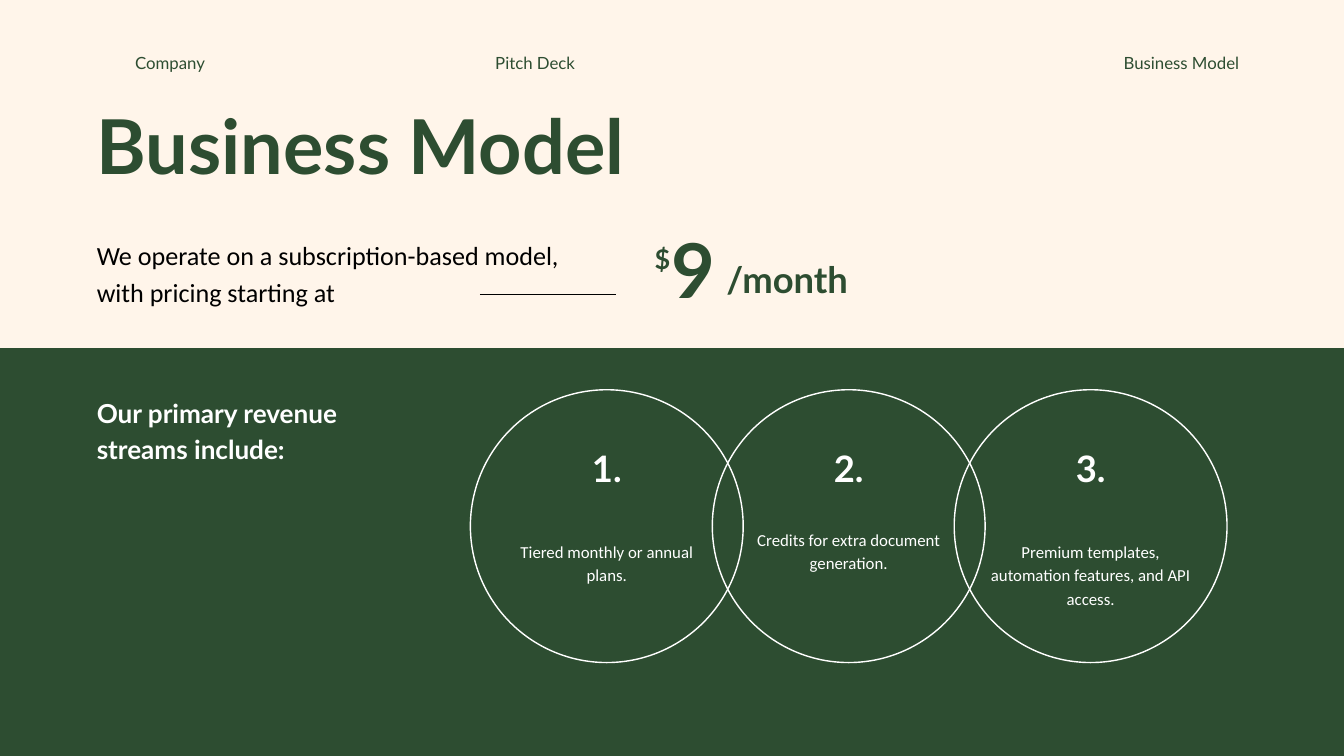
from dataclasses import dataclass
from pptx import Presentation, util as u
from pptx.dml.color import RGBColor
from pptx.enum import shapes, text
from pptx.oxml.ns import qn
from lxml import etree

COLS, ROWS = 20, 11.25
UNIT = u.Inches(1)  # one grid square
LEFT, CENTER, RIGHT = text.PP_ALIGN.LEFT, text.PP_ALIGN.CENTER, text.PP_ALIGN.RIGHT


@dataclass(frozen=True)
class Theme:
    cream: str = "FFF5EA"
    green: str = "2D4D31"
    white: str = "FFFFFF"
    black: str = "000000"
    head: str = "Lato"
    body: str = "Calibri"
    huge: int = 81
    big: int = 39
    sign: int = 29
    lead: int = 28
    small: int = 18


T = Theme()
PITCH = {T.big: 44.1, T.sign: 32.8, T.lead: 39.2, T.small: 25.2}


@dataclass(frozen=True)
class Box:
    """A region of the grid, in columns and rows."""
    x: float
    y: float
    w: float
    h: float

    def sub(self, x, y, w, h):
        return Box(self.x + x, self.y + y, w, h)

    def emu(self):
        return [round(v * UNIT) for v in (self.x, self.y, self.w, self.h)]


def rgb(code):
    return RGBColor.from_string(code)


def fill_in(shape, words, size, color, face=T.head, bold=False, align=LEFT, pitch=None):
    frame = shape.text_frame
    layout = dict(word_wrap=True, auto_size=text.MSO_AUTO_SIZE.NONE,
                  vertical_anchor=text.MSO_ANCHOR.TOP, margin_left=0,
                  margin_right=0, margin_top=0, margin_bottom=0)
    for name, value in layout.items():
        setattr(frame, name, value)
    para = frame.paragraphs[0]
    para.alignment = align
    para.line_spacing = u.Pt(pitch or PITCH[size])
    run = para.add_run()
    run.text = words
    for name, value in dict(size=u.Pt(size), name=face, bold=bold).items():
        setattr(run.font, name, value)
    run.font.color.rgb = rgb(color)


def label(slide, box, words, size, color, **style):
    fill_in(slide.shapes.add_textbox(*box.emu()), words, size, color, **style)


def shape(slide, kind, box, fill=None, line=None):
    item = slide.shapes.add_shape(kind, *box.emu())
    item.shadow.inherit = False
    if fill:
        item.fill.solid()
        item.fill.fore_color.rgb = rgb(fill)
    else:
        item.fill.background()
    if line:
        item.line.color.rgb = rgb(line)
        item.line.width = u.Pt(1.5)
    else:
        item.line.fill.background()


def rule(slide, box):
    x, y, w, _ = box.emu()
    line = slide.shapes.add_connector(shapes.MSO_CONNECTOR.STRAIGHT, x, y, x + w, y)
    line.line.color.rgb = rgb(T.black)
    line.line.width = u.Pt(0.75)
    etree.SubElement(line._element.spPr, qn("a:effectLst"))


def header(slide, box):
    for x, w, words, align in ((0, 3.86, "Company", LEFT),
                               (5.36, 3, "Pitch Deck", LEFT),
                               (12.29, 4.14, "Business Model", RIGHT)):
        label(slide, box.sub(x, 0, w, box.h), words, T.small, T.green, align=align)


def title(slide, box, words):
    holder = slide.shapes.title
    holder.left, holder.top, holder.width, holder.height = box.emu()
    fill_in(holder, words, T.huge, T.green, bold=True, pitch=78.6)


def price(slide, box):
    label(slide, box.sub(0, 0.09, 7.1, 1.11),
          "We operate on a subscription-based model, with pricing starting at",
          T.lead, T.black, face=T.body)
    rule(slide, box.sub(5.7, 0.98, 2.02, 0))
    for x, y, w, h, words, size, pitch in (
            (8.56, 0, 0.83, 1.55, "9", T.huge, 91.5),
            (9.37, 0.46, 2.65, 0.74, "/month", T.big, None),
            (8.3, 0.24, 0.53, 0.54, "$", T.sign, None)):
        label(slide, box.sub(x, y, w, h), words, size, T.green, bold=True, pitch=pitch)


def stream(slide, box, number, words, drop):
    """One ring, with its number and its text `drop` rows from the top."""
    shape(slide, shapes.MSO_SHAPE.OVAL, box, line=T.white)
    for w, y, h, part, size, face in ((2.08, 0.87, 0.74, f"{number}.", T.big, T.head),
                                      (3.13, drop, 1.05, words, T.small, T.body)):
        label(slide, box.sub((box.w - w) / 2, y, w, h), part, size, T.white,
              face=face, bold=face == T.head, align=CENTER)


def revenue(slide, box):
    shape(slide, shapes.MSO_SHAPE.RECTANGLE, box, fill=T.green)
    label(slide, box.sub(1.44, 0.65, 3.8, 1.7), "Our primary revenue streams include:",
          T.lead, T.white, bold=True)
    ring, step = 4.06, 3.6
    streams = (("Tiered monthly or annual plans.", 2.21),
               ("Credits for extra document generation.", 2.03),
               ("Premium templates, automation features, and API access.", 2.21))
    for i, (words, drop) in enumerate(streams):
        stream(slide, box.sub(7 + i * step, 0.62, ring, ring), i + 1, words, drop)


def main():
    deck = Presentation()
    deck.slide_width, deck.slide_height = round(COLS * UNIT), round(ROWS * UNIT)
    slide = deck.slides.add_slide(deck.slide_layouts[5])
    back = slide.background.fill
    back.solid()
    back.fore_color.rgb = rgb(T.cream)
    header(slide, Box(2.01, 0.74, 16.43, 0.39))
    title(slide, Box(1.44, 1.73, 10.29, 1.4), "Business Model")
    price(slide, Box(1.44, 3.4, 12.02, 1.55))
    revenue(slide, Box(0, 5.18, COLS, ROWS - 5.18))
    deck.save("out.pptx")


if __name__ == "__main__":
    main()
